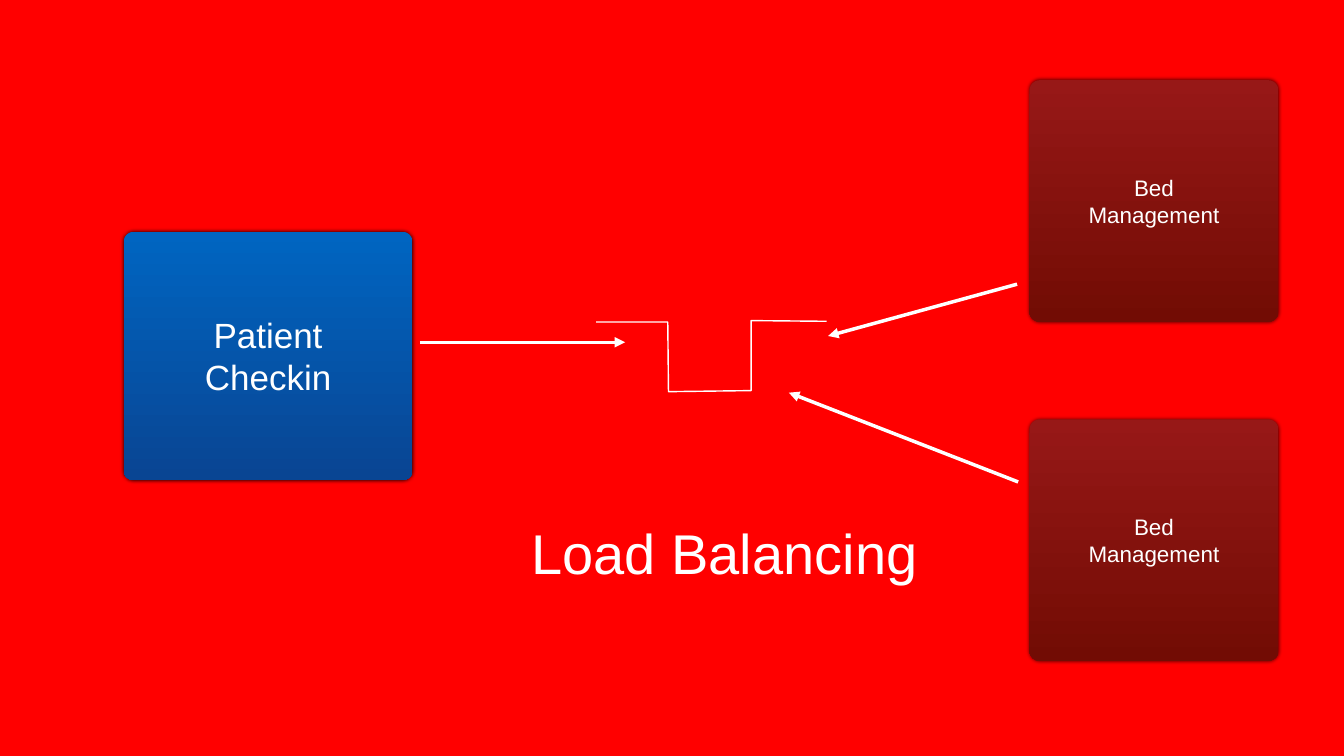
from lxml import etree
from pptx import Presentation, util as u
from pptx.dml.color import RGBColor
from pptx.enum import shapes, text
from pptx.oxml.ns import qn

Pt = u.Pt
THEME = {
    "font": "Arial",
    "background": RGBColor.from_string("FF0000"),
    "white": RGBColor.from_string("FFFFFF"),
    "blue": ("0065C1", "094593"),
    "maroon": ("971817", "720C04"),
    "checkin_size": 50,
    "bed_size": 32,
    "title_size": 80,
    "arrow_width": 5,
    "queue_width": 2,
    "inset": 4.3,
}


def write_text(shape, lines, size, **frame_format):
    """Fill a shape with centred white lines, one paragraph each."""
    frame = shape.text_frame
    settings = {"vertical_anchor": text.MSO_ANCHOR.MIDDLE, "word_wrap": True}
    for side in ("left", "top", "right", "bottom"):
        settings[f"margin_{side}"] = Pt(THEME["inset"])
    for name, value in {**settings, **frame_format}.items():
        setattr(frame, name, value)
    frame.text = "\n".join(lines)
    for paragraph in frame.paragraphs:
        paragraph.alignment = text.PP_ALIGN.CENTER
        font = paragraph.runs[0].font
        for name, value in {"name": THEME["font"], "size": Pt(size)}.items():
            setattr(font, name, value)
        font.color.rgb = THEME["white"]


def style_line(shape, width):
    shape.line.color.rgb = THEME["white"]
    shape.line.width = Pt(width)


presentation = Presentation()
presentation.slide_width, presentation.slide_height = Pt(1920), Pt(1080)
slide = presentation.slides.add_slide(presentation.slide_layouts[6])
slide.background.fill.solid()
slide.background.fill.fore_color.rgb = THEME["background"]

# Services: left, top, width, height, corner, gradient, lines, text size
bed = (356, 345, 0.043, THEME["maroon"], ("Bed", "Management"), THEME["bed_size"])
services = [
    (176.5, 331, 413, 355, 0.042, THEME["blue"], ("Patient", "Checkin"), THEME["checkin_size"]),
    (1470.5, 114.5, *bed),
    (1470.5, 599, *bed),
]
for left, top, width, height, corner, gradient, lines, size in services:
    box = slide.shapes.add_shape(
        shapes.MSO_SHAPE.ROUNDED_RECTANGLE, Pt(left), Pt(top), Pt(width), Pt(height))
    box.adjustments[0] = corner
    box.fill.gradient()
    box.fill.gradient_angle = 270
    for stop, colour in zip(box.fill.gradient_stops, gradient):
        stop.color.rgb = RGBColor.from_string(colour)
    box.line.fill.background()
    box.shadow.inherit = False
    effects = box._element.spPr.find(qn("a:effectLst"))
    shadow = etree.SubElement(effects, qn("a:outerShdw"), blurRad=str(Pt(6)),
                              dist="0", dir=str(315 * 60000), rotWithShape="0")
    colour = etree.SubElement(shadow, qn("a:srgbClr"), val="000000")
    etree.SubElement(colour, qn("a:alpha"), val="80000")
    write_text(box, lines, size)

# Queue between the services
queue_points = [(851.5, 460), (954, 460), (955, 559.5), (1073, 558), (1073, 458), (1181, 459)]
builder = slide.shapes.build_freeform(*(Pt(value) for value in queue_points[0]))
builder.add_line_segments([(Pt(x), Pt(y)) for x, y in queue_points[1:]], close=False)
queue = builder.convert_to_shape()
queue.fill.background()
style_line(queue, THEME["queue_width"])
queue.shadow.inherit = False

# Arrows into the queue: start x, start y, end x, end y
arrows = [
    (600, 489, 893, 489),
    (1453, 406, 1183, 480),
    (1454.5, 688.5, 1127, 561),
]
for ends in arrows:
    arrow = slide.shapes.add_connector(
        shapes.MSO_CONNECTOR.STRAIGHT, *(Pt(value) for value in ends))
    style_line(arrow, THEME["arrow_width"])
    etree.SubElement(arrow.line._get_or_add_ln(), qn("a:tailEnd"), type="triangle")
    etree.SubElement(arrow._element.spPr, qn("a:effectLst"))

title = slide.shapes.add_textbox(Pt(748), Pt(736), Pt(574), Pt(104))
write_text(title, ["Load Balancing"], THEME["title_size"],
           word_wrap=False, auto_size=text.MSO_AUTO_SIZE.SHAPE_TO_FIT_TEXT)

presentation.save("out.pptx")
